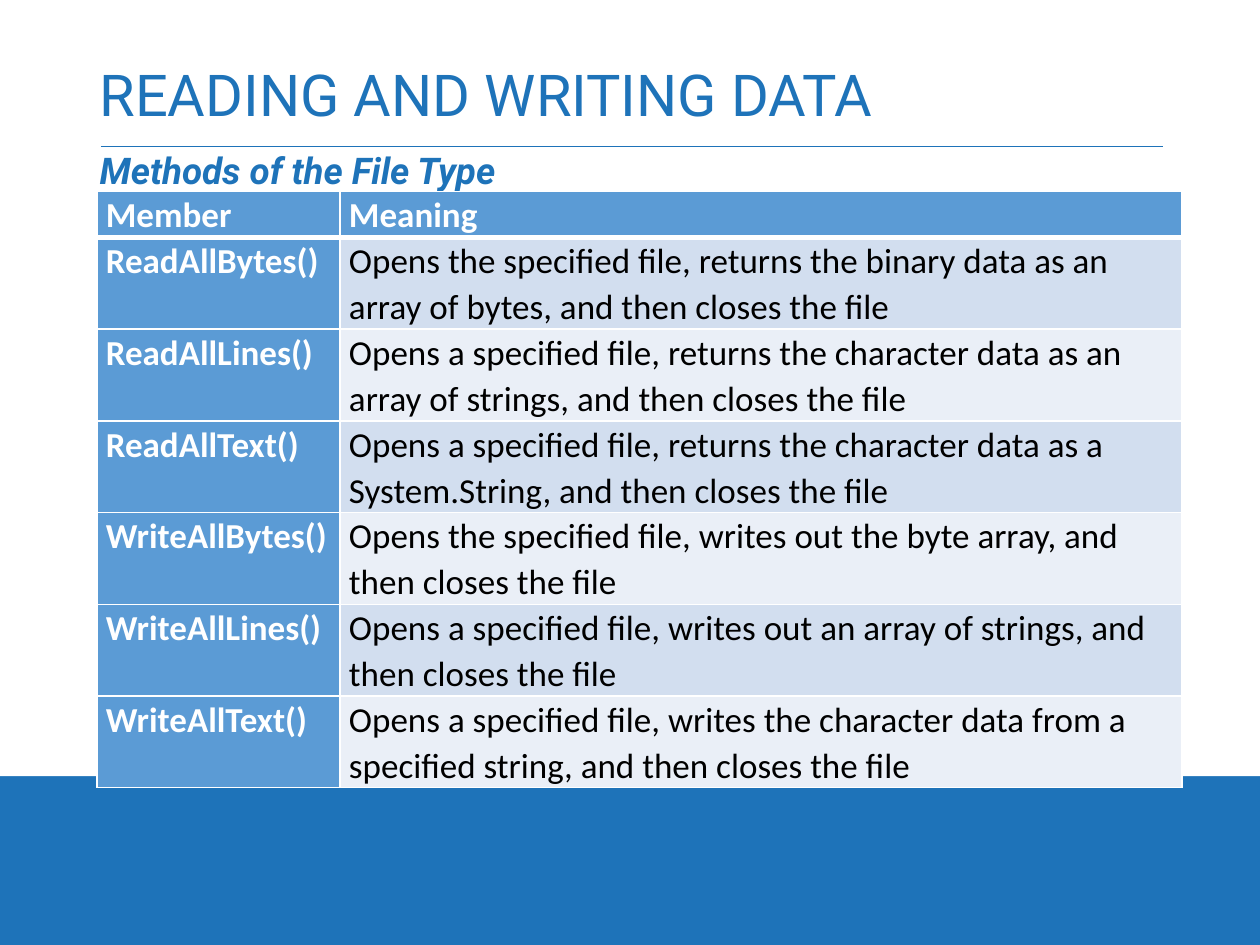
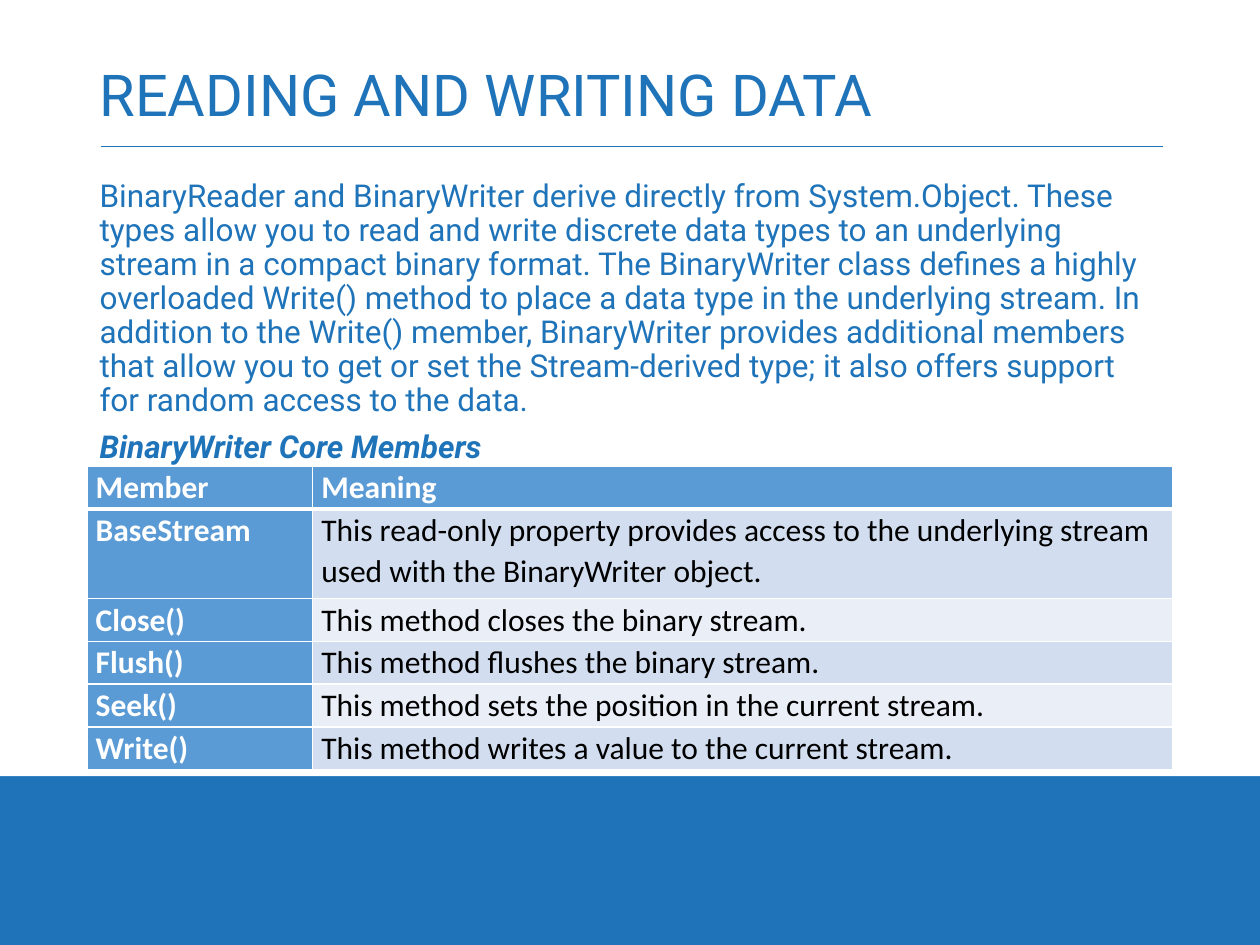
"""Build two slides on reading and writing data, each with a table of members."""
from lxml.etree import SubElement
from pptx import Presentation
from pptx.dml.color import RGBColor
from pptx.enum.shapes import MSO_CONNECTOR, MSO_SHAPE
from pptx.enum.text import MSO_ANCHOR, MSO_AUTO_SIZE, PP_ALIGN
from pptx.oxml import parse_xml
from pptx.oxml.ns import nsdecls, qn
from pptx.util import Inches, Pt

COLORS = {
    "blue": "1E73B9",
    "white": "FFFFFF",
    "black": "000000",
    "header": "5B9BD5",
    "odd_row": "D2DEEF",
    "even_row": "EAEFF7",
}
TITLE = "READING AND WRITING DATA"
TITLE_FONT, TABLE_FONT = "Roboto", "Calibri"
LEFT, WIDTH = 0.69, 8.62
BODY_BOTTOM = 5.91
HEADINGS = ("Member", "Meaning")

FILE_METHODS = [
    ("ReadAllBytes()", "Opens the specified file, returns the binary data as an array of bytes, "
                       "and then closes the file"),
    ("ReadAllLines()", "Opens a specified file, returns the character data as an array of strings, "
                       "and then closes the file"),
    ("ReadAllText()", "Opens a specified file, returns the character data as a System.String, "
                      "and then closes the file"),
    ("WriteAllBytes()", "Opens the specified file, writes out the byte array, "
                        "and then closes the file"),
    ("WriteAllLines()", "Opens a specified file, writes out an array of strings, "
                        "and then closes the file"),
    ("WriteAllText()", "Opens a specified file, writes the character data from a specified string, "
                       "and then closes the file"),
]
WRITER_INTRO = (
    "BinaryReader and BinaryWriter derive directly from System.Object. These types allow you to "
    "read and write discrete data types to an underlying stream in a compact binary format. The "
    "BinaryWriter class defines a highly overloaded Write() method to place a data type in the "
    "underlying stream. In addition to the Write() member, BinaryWriter provides additional "
    "members that allow you to get or set the Stream-derived type; it also offers support for "
    "random access to the data."
)
WRITER_MEMBERS = [
    ("BaseStream", "This read-only property provides access to the underlying stream used with "
                   "the BinaryWriter object."),
    ("Close()", "This method closes the binary stream."),
    ("Flush()", "This method flushes the binary stream."),
    ("Seek()", "This method sets the position in the current stream."),
    ("Write()", "This method writes a value to the current stream."),
]


def rgb(name):
    return RGBColor.from_string(COLORS[name])


def place(shape, left, top, width, height):
    shape.left, shape.top = Inches(left), Inches(top)
    shape.width, shape.height = Inches(width), Inches(height)


def style_paragraph(paragraph, font, size, color, spacing, bold=False, italic=False):
    paragraph.alignment = PP_ALIGN.LEFT
    paragraph.line_spacing = spacing
    for run in paragraph.runs:
        run.font.name, run.font.size = font, Pt(size)
        run.font.bold, run.font.italic = bold, italic
        run.font.color.rgb = rgb(color)


def decorate_layout(layout, slide):
    layout.background.fill.solid()
    layout.background.fill.fore_color.rgb = rgb("blue")

    panel = slide.shapes.add_shape(MSO_SHAPE.RECTANGLE, 0, 0, Inches(10), Inches(6.16))
    panel.shadow.inherit = False
    panel.fill.solid()
    panel.fill.fore_color.rgb = rgb("white")
    panel.line.fill.background()

    rule = slide.shapes.add_connector(
        MSO_CONNECTOR.STRAIGHT, Inches(0.8), Inches(1.16), Inches(9.23), Inches(1.16))
    rule.line.color.rgb = rgb("blue")
    rule.line.width = Pt(0.5)
    SubElement(rule.element.spPr, qn("a:effectLst"))

    for offset, decoration in enumerate((panel, rule)):
        decoration.element.xpath(".//p:cNvPr")[0].set("id", str(20 + offset))
        layout.shapes.element.insert(2 + offset, decoration.element)


def add_title(slide):
    title = slide.shapes.title
    place(title, LEFT, 0.4, WIDTH, 0.76)
    frame = title.text_frame
    frame.text = TITLE
    frame.auto_size = MSO_AUTO_SIZE.NONE
    frame.vertical_anchor = MSO_ANCHOR.MIDDLE
    style_paragraph(frame.paragraphs[0], TITLE_FONT, 33, "blue", 0.9)


def add_body(slide, top, size, texts):
    body = slide.placeholders[1]
    place(body, LEFT, top, WIDTH, BODY_BOTTOM - top)
    frame = body.text_frame
    frame.text = "\n".join(texts)
    frame.auto_size = MSO_AUTO_SIZE.NONE
    caption = len(texts) - 1
    for index, paragraph in enumerate(frame.paragraphs):
        is_caption = index == caption
        style_paragraph(paragraph, TITLE_FONT, size, "blue", 0.9, is_caption, is_caption)
        paragraph.space_before = Pt(7.5)
        properties = paragraph._p.get_or_add_pPr()
        properties.set("marL", "0")
        properties.set("indent", "0")
        SubElement(properties, qn("a:buNone"))


def add_borders(cell, top, bottom):
    properties = cell._tc.get_or_add_tcPr()
    sides = (("lnL", 1), ("lnR", 1), ("lnT", top), ("lnB", bottom))
    for index, (side, points) in enumerate(sides):
        properties.insert(index, parse_xml(
            f'<a:{side} {nsdecls("a")} w="{Pt(points)}"><a:solidFill>'
            f'<a:srgbClr val="{COLORS["white"]}"/></a:solidFill></a:{side}>'))


def fill_cell(cell, text, size, row, column):
    is_heading = row == 0 or column == 0
    cell.text_frame.text = text
    cell.margin_left = cell.margin_right = Inches(0.07)
    cell.margin_top = cell.margin_bottom = 0
    style_paragraph(cell.text_frame.paragraphs[0], TABLE_FONT, size,
                    "white" if is_heading else "black", 1.07, is_heading)
    band = "odd_row" if row % 2 else "even_row"
    cell.fill.solid()
    cell.fill.fore_color.rgb = rgb("header" if is_heading else band)
    add_borders(cell, top=3 if row == 1 else 1, bottom=3 if row == 0 else 1)


def add_member_table(slide, left, top, widths, heights, size, members):
    rows = [HEADINGS, *members]
    table = slide.shapes.add_table(
        len(rows), len(widths), Inches(left), Inches(top),
        Inches(sum(widths)), Inches(sum(heights))).table
    for column, width in zip(table.columns, widths):
        column.width = Inches(width)
    for row, height in zip(table.rows, heights):
        row.height = Inches(height)
    for row, texts in enumerate(rows):
        for column, text in enumerate(texts):
            fill_cell(table.cell(row, column), text, size, row, column)


def add_file_slide(slide):
    add_title(slide)
    add_body(slide, 1.16, 21, ["Methods of the File Type"])
    add_member_table(slide, 0.77, 1.52, (1.93, 6.68), [0.36] + [0.71] * 6, 20, FILE_METHODS)


def add_writer_slide(slide):
    add_title(slide)
    add_body(slide, 1.38, 18, [WRITER_INTRO, "BinaryWriter Core Members"])
    add_member_table(slide, LEFT, 3.7, (1.79, 6.83), [0.34, 0.71] + [0.34] * 4, 18,
                     WRITER_MEMBERS)


def main():
    deck = Presentation()
    deck.slide_width, deck.slide_height = Inches(10), Inches(7.5)
    layout = deck.slide_layouts[1]
    file_slide, writer_slide = (deck.slides.add_slide(layout) for _ in range(2))
    decorate_layout(layout, file_slide)
    add_file_slide(file_slide)
    add_writer_slide(writer_slide)
    deck.save("out.pptx")


main()
